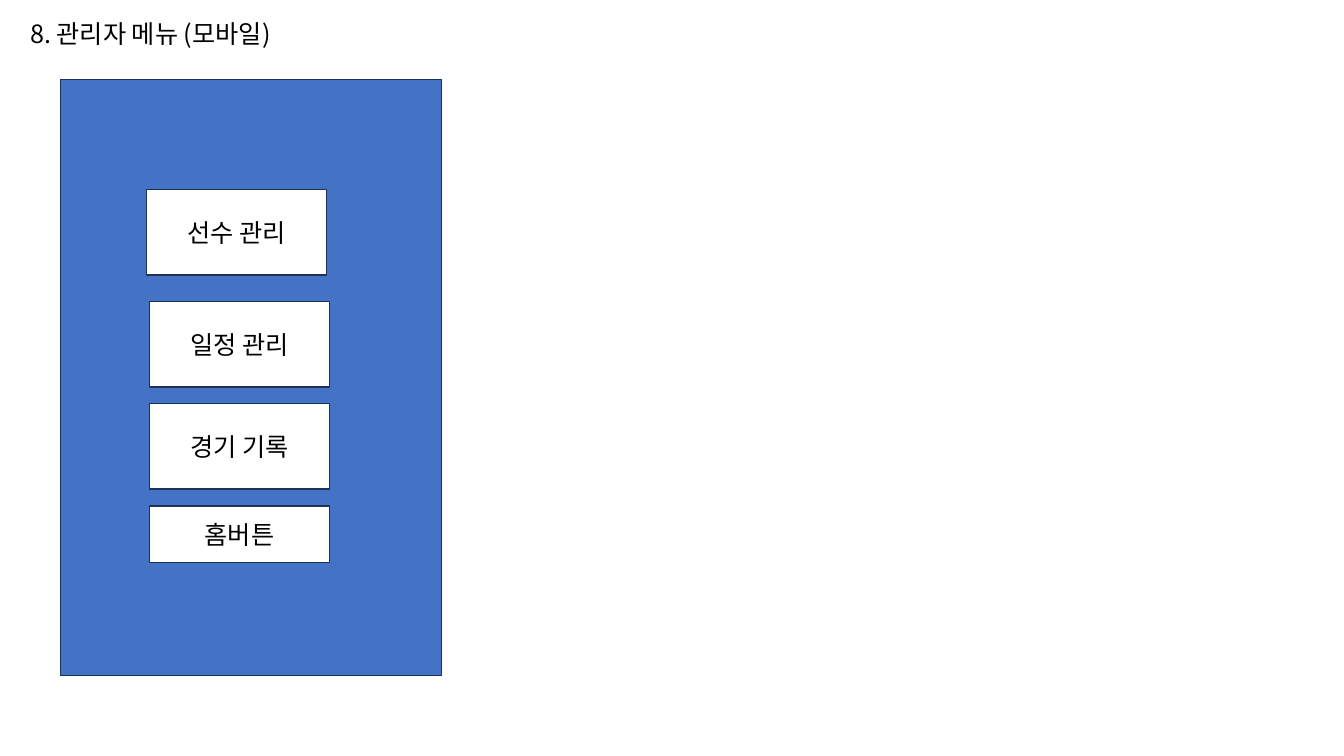
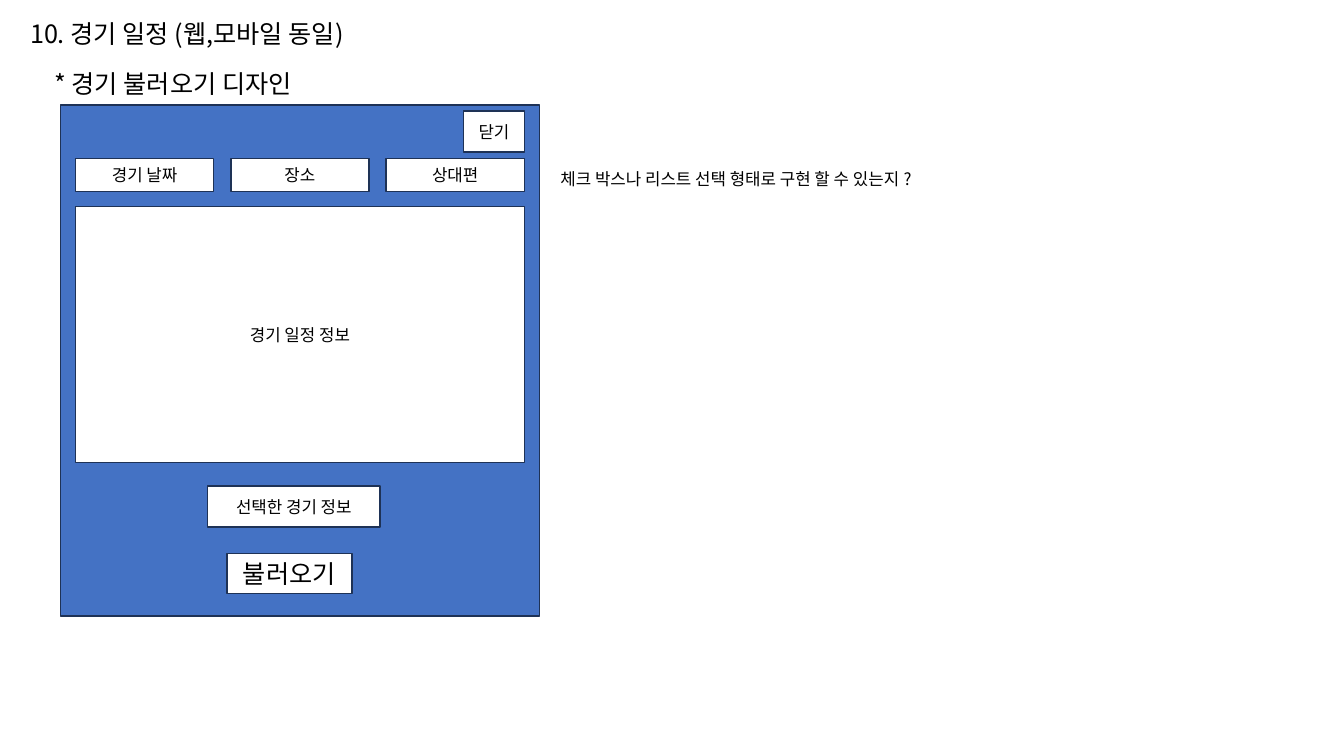
from lxml.etree import SubElement
from pptx import Presentation
from pptx.dml.color import RGBColor
from pptx.enum.shapes import MSO_SHAPE
from pptx.enum.text import MSO_ANCHOR, MSO_AUTO_SIZE, PP_ALIGN
from pptx.oxml.ns import qn
from pptx.util import Inches, Pt

BLUE = RGBColor(0x44, 0x72, 0xC4)
NAVY = RGBColor(0x1E, 0x32, 0x56)
WHITE = RGBColor(0xFF, 0xFF, 0xFF)
BLACK = RGBColor(0x00, 0x00, 0x00)
FONT = "Noto Sans CJK KR"
LARGE = 18
SMALL = 12


def add_run(para, text, size):
    """Add a black run in FONT for both Latin and Korean letters."""
    run = para.add_run()
    run.text = text
    run.font.size = Pt(size)
    run.font.color.rgb = BLACK
    run.font.name = FONT
    SubElement(run.font._element, qn("a:ea"), typeface=FONT)


def add_rect(slide, left, top, width, height, fill):
    rect = slide.shapes.add_shape(
        MSO_SHAPE.RECTANGLE,
        Inches(left), Inches(top), Inches(width), Inches(height))
    rect.shadow.inherit = False
    rect.fill.solid()
    rect.fill.fore_color.rgb = fill
    rect.line.color.rgb = NAVY
    rect.line.width = Pt(1)
    return rect


def add_panel(slide, top, width, height):
    add_rect(slide, 0.6, top, width, height, BLUE)


def add_button(slide, text, left, top, width, height, size=SMALL):
    frame = add_rect(slide, left, top, width, height, WHITE).text_frame
    frame.word_wrap = True
    frame.vertical_anchor = MSO_ANCHOR.MIDDLE
    para = frame.paragraphs[0]
    para.alignment = PP_ALIGN.CENTER
    add_run(para, text, size)


def add_label(slide, text, left, top, width, height, size=LARGE, wrap=True):
    box = slide.shapes.add_textbox(
        Inches(left), Inches(top), Inches(width), Inches(height))
    frame = box.text_frame
    frame.word_wrap = wrap
    frame.auto_size = MSO_AUTO_SIZE.SHAPE_TO_FIT_TEXT
    add_run(frame.paragraphs[0], text, size)


def add_page(deck, title, width):
    """Add a blank slide with its title at the top left."""
    slide = deck.slides.add_slide(deck.slide_layouts[6])
    add_label(slide, title, 0.2, 0.13, width, 0.4)
    return slide


def build_menu(deck):
    slide = add_page(deck, "8. 관리자 메뉴 (모바일)", 2.74)
    add_panel(slide, 0.79, 3.78, 5.91)
    items = [
        ("선수 관리", 1.45, 1.88, 0.85),
        ("일정 관리", 1.48, 2.99, 0.85),
        ("경기 기록", 1.48, 4, 0.85),
        ("홈버튼", 1.48, 5.02, 0.56),
    ]
    for text, left, top, height in items:
        add_button(slide, text, left, top, 1.79, height, LARGE)


def build_games(deck):
    slide = add_page(deck, "10. 경기 일정 (웹,모바일 동일)", 4.34)
    add_label(slide, "* 경기 불러오기 디자인", 0.44, 0.63, 3.22, 0.4)
    add_panel(slide, 1.04, 4.75, 5.07)
    add_button(slide, "닫기", 4.6, 1.1, 0.6, 0.41)
    for col, text in enumerate(["경기 날짜", "장소", "상대편"]):
        add_button(slide, text, 0.75 + col * 1.54, 1.57, 1.37, 0.33)
    add_button(slide, "경기 일정 정보", 0.75, 2.05, 4.45, 2.54)
    add_button(slide, "선택한 경기 정보", 2.06, 4.82, 1.71, 0.41)
    add_button(slide, "불러오기", 2.25, 5.49, 1.24, 0.4, LARGE)
    add_label(slide, "체크 박스나 리스트 선택 형태로 구현 할 수 있는지 ?",
              5.46, 1.62, 4.18, 0.3, SMALL, wrap=False)


def main():
    deck = Presentation()
    deck.slide_width = Inches(13.33)
    deck.slide_height = Inches(7.5)
    build_menu(deck)
    build_games(deck)
    deck.save("out.pptx")


if __name__ == "__main__":
    main()
